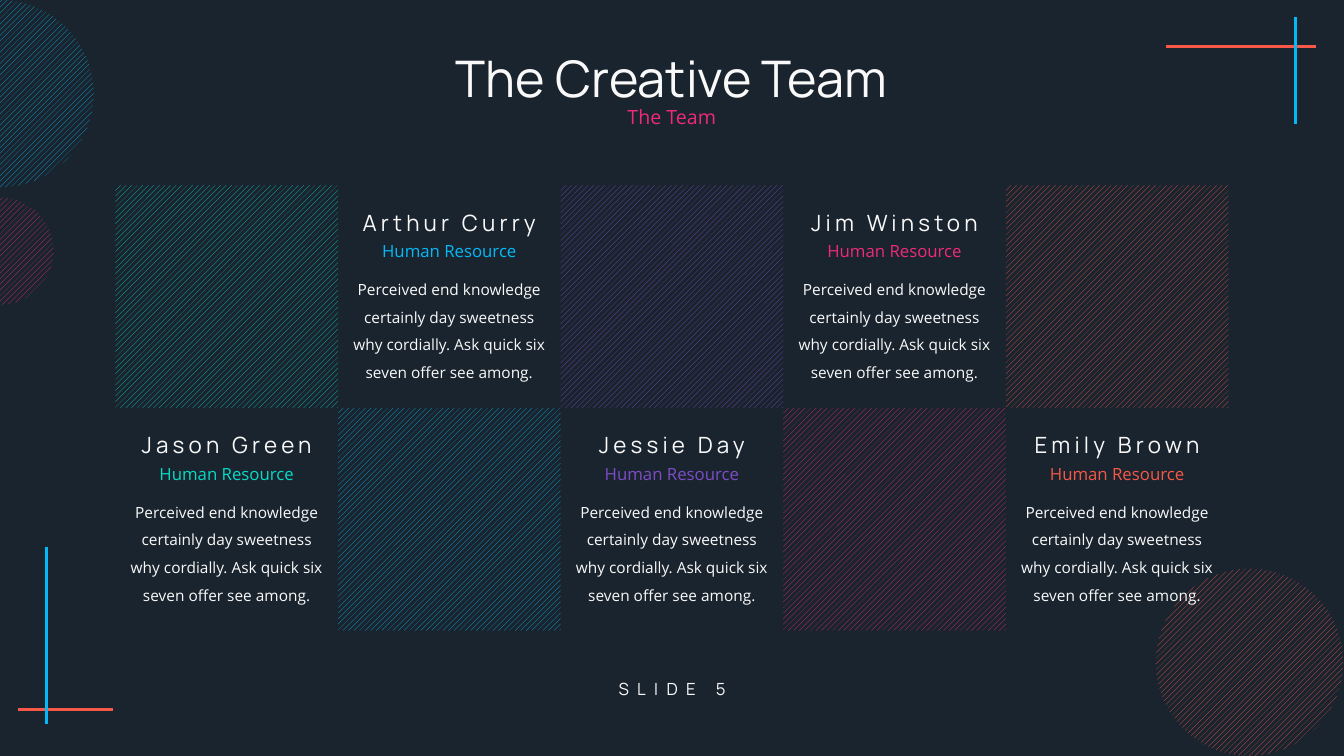
"""Builds the creative team slide with a checkerboard of hatched tiles and team members."""
from lxml import etree
from pptx import Presentation
from pptx.dml.color import RGBColor
from pptx.enum.dml import MSO_PATTERN
from pptx.enum.shapes import MSO_CONNECTOR, MSO_SHAPE
from pptx.enum.text import MSO_ANCHOR, MSO_AUTO_SIZE, PP_ALIGN
from pptx.oxml.ns import qn
from pptx.util import Cm, Pt

RECT, OVAL = MSO_SHAPE.RECTANGLE, MSO_SHAPE.OVAL
STRAIGHT = MSO_CONNECTOR.STRAIGHT
HATCH = MSO_PATTERN.WIDE_UPWARD_DIAGONAL
TOP, MIDDLE = MSO_ANCHOR.TOP, MSO_ANCHOR.MIDDLE
CENTER, NO_FIT = PP_ALIGN.CENTER, MSO_AUTO_SIZE.NONE

COLORS = {
    "night": "1A242E", "white": "F9F9F9", "teal": "08DAC6", "blue": "05B9F6",
    "purple": "7E4CC7", "pink": "EF2A79", "coral": "F75847",
}
HEAD, BODY = "Manrope", "Open Sans"

TITLE, SUBTITLE, FOOTER = "The Creative Team", "The Team", "SLIDE 5"
ROLE = "Human Resource"
ABOUT = ("Perceived end knowledge certainly day sweetness why cordially. "
         "Ask quick six seven offer see among.")
TEAM = [
    ("Jason Green", "teal"),
    ("Arthur Curry", "blue"),
    ("Jessie Day", "purple"),
    ("Jim Winston", "pink"),
    ("Emily Brown", "coral"),
]
LINES = [
    (29.39, 1.17, 33.17, 1.17, "coral"),
    (32.64, 3.12, 32.64, 0.43, "blue"),
    (2.84, 17.88, 0.46, 17.88, "coral"),
    (1.17, 13.79, 1.17, 18.24, "blue"),
]
CIRCLES = [
    (29.13, 14.33, 4.72, "coral"),
    (-1.35, 4.98, 2.7, "pink"),
    (-2.36, 0, 4.72, "blue"),
]
SLIDE_W, SLIDE_H = 33.87, 19.05
TILE, GRID_TOP = 5.61, 4.67
GRID_LEFT = (SLIDE_W - TILE * len(TEAM)) / 2


def rgb(name):
    return RGBColor.from_string(COLORS[name])


def add_hatched(s, kind, x, y, size, color):
    sp = s.shapes.add_shape(kind, Cm(x), Cm(y), Cm(size), Cm(size))
    sp.shadow.inherit = False
    sp.line.fill.background()
    sp.fill.patterned()
    sp.fill.pattern = HATCH
    sp.fill.fore_color.rgb = rgb(color)
    sp.fill.back_color.rgb = rgb("night")


def add_line(s, x1, y1, x2, y2, color):
    line = s.shapes.add_connector(STRAIGHT, Cm(x1), Cm(y1), Cm(x2), Cm(y2))
    line.line.color.rgb = rgb(color)
    line.line.width = Pt(2)
    etree.SubElement(line._element.spPr, qn("a:effectLst"))


def put_text(s, text, x, y, w, h, *, size, font=BODY, color="white", spacing=0,
             line=1.0, before=0, anchor=TOP, wrap=True, sp=None):
    if sp is None:
        sp = s.shapes.add_textbox(Cm(x), Cm(y), Cm(w), Cm(h))
    else:
        sp.left, sp.top, sp.width, sp.height = Cm(x), Cm(y), Cm(w), Cm(h)
    tf = sp.text_frame
    tf.word_wrap, tf.auto_size, tf.vertical_anchor = wrap, NO_FIT, anchor
    p = tf.paragraphs[0]
    p.alignment, p.line_spacing, p.space_before = CENTER, line, Pt(before)
    r = p.add_run()
    r.text = text
    r.font.size, r.font.name = Pt(size), font
    r.font.color.rgb = rgb(color)
    if spacing:
        r._r.get_or_add_rPr().set("spc", str(spacing * 100))
    return p


def add_member(s, x, y, name, color):
    put_text(s, name, x, y + 0.47, TILE, 0.94, size=16, font=HEAD, spacing=3, wrap=False)
    put_text(s, ROLE, x, y + 1.27, TILE, 0.76, size=12, color=color, wrap=False)
    put_text(s, ABOUT, x, y + 2.03, TILE, 3.07, size=11, line=1.5)


def main():
    prs = Presentation()
    prs.slide_width, prs.slide_height = Cm(SLIDE_W), Cm(SLIDE_H)
    s = prs.slides.add_slide(prs.slide_layouts[1])
    s.background.fill.solid()
    s.background.fill.fore_color.rgb = rgb("night")

    heading = dict(line=0.9, before=10, anchor=MIDDLE)
    put_text(s, TITLE, 1.14, 1.24, 31.58, 1.63, size=36, font=HEAD,
             sp=s.shapes.title, **heading)
    p = put_text(s, SUBTITLE, 1.14, 2.16, 31.58, 1.63, size=14, color="pink",
                 sp=s.placeholders[1], **heading)
    pPr = p._p.get_or_add_pPr()
    pPr.set("marL", "0")
    pPr.set("indent", "0")
    etree.SubElement(pPr, qn("a:buNone"))

    for line in LINES:
        add_line(s, *line)
    for circle in CIRCLES:
        add_hatched(s, OVAL, *circle)
    put_text(s, FOOTER, 14.3, 16.84, 5.28, 1.04, size=12, font=HEAD, spacing=6,
             anchor=MIDDLE)

    for col, (name, color) in enumerate(TEAM):
        x = GRID_LEFT + col * TILE
        tile_row = col % 2
        add_hatched(s, RECT, x, GRID_TOP + tile_row * TILE, TILE, color)
        add_member(s, x, GRID_TOP + (1 - tile_row) * TILE, name, color)

    prs.save("out.pptx")


if __name__ == "__main__":
    main()
